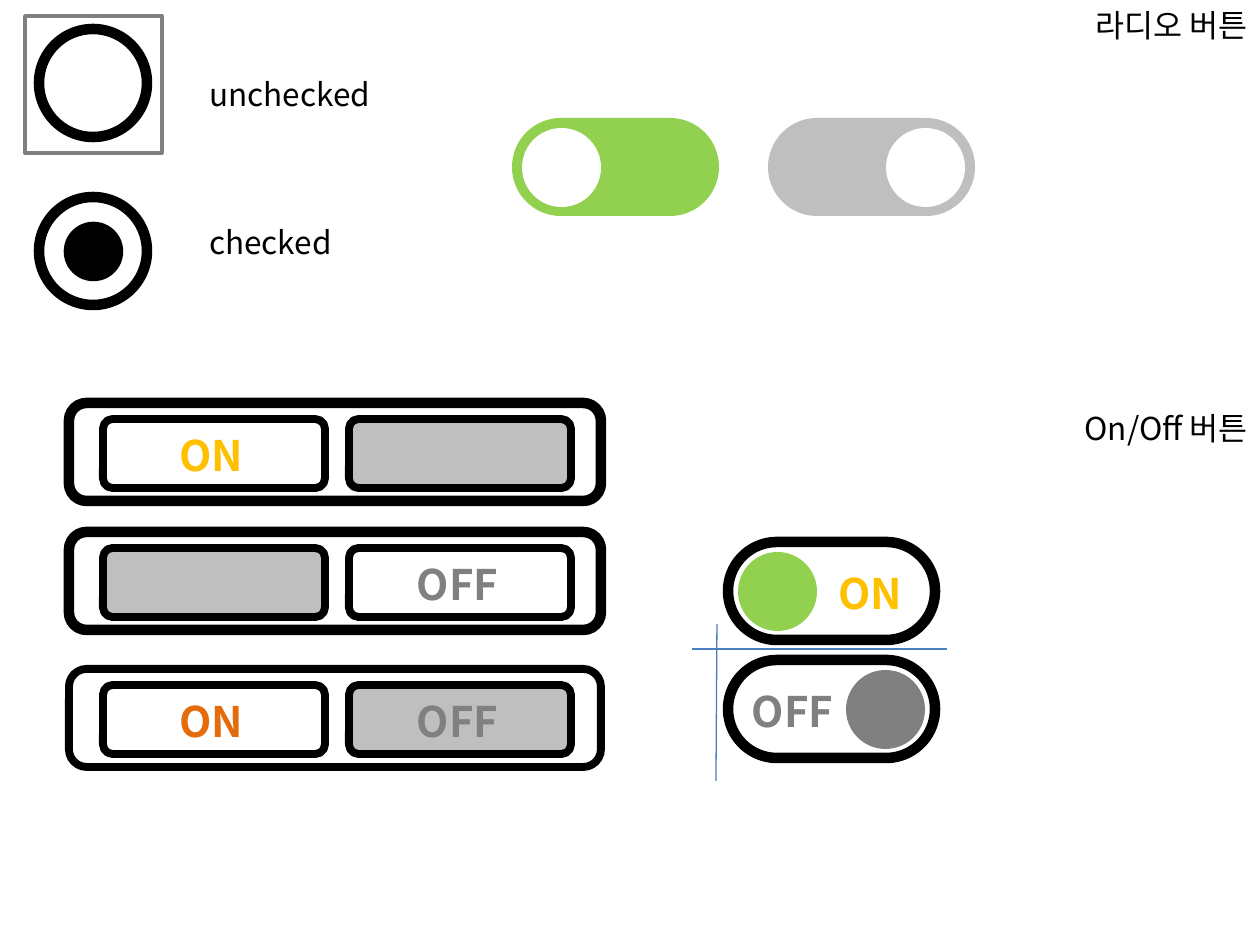
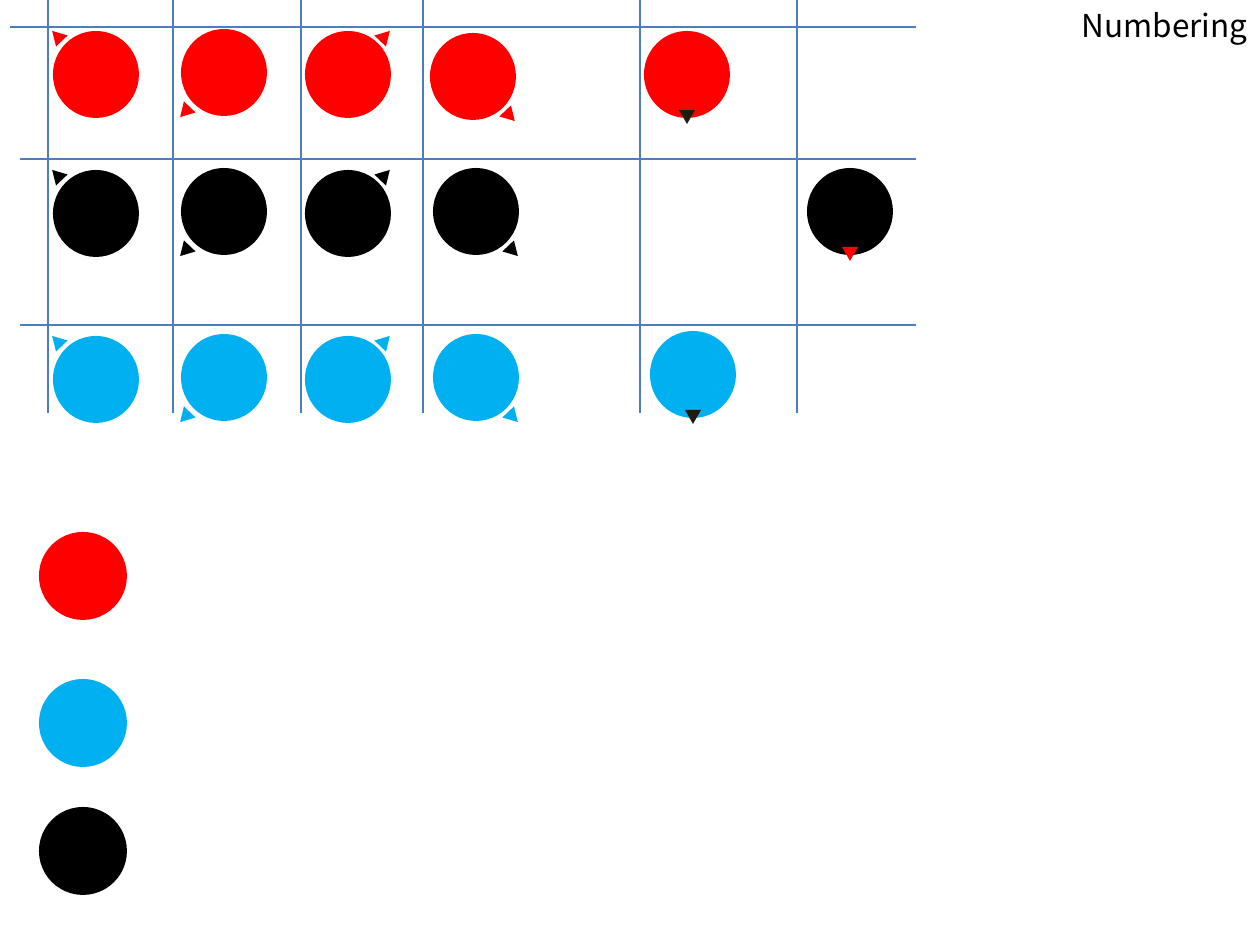
from dataclasses import dataclass
from typing import Optional

from lxml import etree
from pptx import Presentation
from pptx import util as u
from pptx.dml.color import RGBColor
from pptx.enum import shapes, text
from pptx.oxml import ns

PX = 914400 / 126
FONT = "Noto Sans CJK KR"

BLACK = RGBColor(0x00, 0x00, 0x00)
WHITE = RGBColor(0xFF, 0xFF, 0xFF)
SILVER = RGBColor(0xBF, 0xBF, 0xBF)
GRAY = RGBColor(0x80, 0x80, 0x80)
GREEN = RGBColor(0x92, 0xD0, 0x50)
AMBER = RGBColor(0xFF, 0xC0, 0x00)
ORANGE = RGBColor(0xE4, 0x6C, 0x0A)
RED = RGBColor(0xFF, 0x00, 0x00)
SKY = RGBColor(0x00, 0xB0, 0xF0)
INK = RGBColor(0x1E, 0x1C, 0x11)
GUIDE = RGBColor(0x4B, 0x7E, 0xBC)

OVAL = shapes.MSO_SHAPE.OVAL
RECT = shapes.MSO_SHAPE.RECTANGLE
ROUND = shapes.MSO_SHAPE.ROUNDED_RECTANGLE
TRIANGLE = shapes.MSO_SHAPE.ISOSCELES_TRIANGLE
LEFT, CENTER, RIGHT = text.PP_ALIGN.LEFT, text.PP_ALIGN.CENTER, text.PP_ALIGN.RIGHT

HEADING_BOX = (1004, 0, 256, 50)
PILL_W, PILL_H, KNOB, KNOB_GAP = 207, 98, 79, 10
DISC_W, DISC_H = 86, 87


@dataclass
class Key:
    label: str = ""
    color: RGBColor = BLACK
    fill: Optional[RGBColor] = None


@dataclass
class Bar:
    y: int
    border: float
    keys: tuple[Key, Key]


@dataclass
class Pointer:
    dx: int
    dy: int
    angle: float


UP_LEFT = Pointer(-4, -2, -43.7)
DOWN_LEFT = Pointer(-4, 76, 223.7)
UP_RIGHT = Pointer(72, -2, 43.7)
DOWN_RIGHT = Pointer(72, 76, 136.3)
DOWN = Pointer(35, 79, 180)


@dataclass
class Marker:
    x: int
    y: int
    color: RGBColor
    pointer: Pointer
    tip: RGBColor


def emu(px: float) -> int:
    return round(px * PX)


def write(sp, content: str, size: float = 18, color: RGBColor = BLACK,
          bold: bool = False, align=LEFT) -> None:
    tf = sp.text_frame
    tf.word_wrap = True
    tf.auto_size = text.MSO_AUTO_SIZE.SHAPE_TO_FIT_TEXT
    tf.vertical_anchor = text.MSO_ANCHOR.TOP
    p = tf.paragraphs[0]
    p.alignment = align
    r = p.add_run()
    r.text = content
    r.font.size = u.Pt(size)
    r.font.bold = bold
    r.font.name = FONT
    r.font.color.rgb = color
    etree.SubElement(r.font._element, ns.qn("a:ea"), typeface=FONT)


def add_text(s, box: tuple, content: str, **fmt) -> None:
    write(s.shapes.add_textbox(*map(emu, box)), content, **fmt)


def add_title(prs, content: str):
    s = prs.slides.add_slide(prs.slide_layouts[5])
    sp = s.shapes.title
    sp.left, sp.top, sp.width, sp.height = map(emu, HEADING_BOX)
    write(sp, content, align=RIGHT)
    return s


def add_shape(s, kind, box: tuple, fill: Optional[RGBColor] = None,
              line: Optional[RGBColor] = None, width: float = 0,
              adj: Optional[float] = None, angle: float = 0) -> None:
    sp = s.shapes.add_shape(kind, *map(emu, box))
    sp.shadow.inherit = False
    if fill is None:
        sp.fill.background()
    else:
        sp.fill.solid()
        sp.fill.fore_color.rgb = fill
    if line is None:
        sp.line.fill.background()
    else:
        sp.line.color.rgb = line
        sp.line.width = u.Pt(width)
    if adj is not None:
        sp.adjustments[0] = adj
    sp.rotation = angle


def add_guide(s, *ends: int) -> None:
    cx = s.shapes.add_connector(shapes.MSO_CONNECTOR.STRAIGHT, *map(emu, ends))
    cx.line.color.rgb = GUIDE
    cx.line.width = u.Pt(0.75)
    etree.SubElement(cx._element.spPr, ns.qn("a:effectLst"))


def add_bar(s, bar: Bar) -> None:
    add_shape(s, ROUND, (69, bar.y, 532, 98), line=BLACK, width=bar.border, adj=0.18)
    for x, key in zip((103, 349), bar.keys):
        add_shape(s, ROUND, (x, bar.y + 16, 222, 69), fill=key.fill,
                  line=BLACK, width=4.5, adj=0.14)
        if key.label:
            add_text(s, (x + 5, bar.y + 20, 207, 63), key.label, size=24,
                     color=key.color, bold=True, align=CENTER)


def add_pill(s, x: int, y: int, knob: RGBColor, knob_right: bool,
             fill: Optional[RGBColor] = None, key: Optional[Key] = None) -> None:
    add_shape(s, ROUND, (x, y, PILL_W, PILL_H), fill=fill,
              line=BLACK if key else None, width=6, adj=0.5)
    dx = PILL_W - KNOB - KNOB_GAP if knob_right else KNOB_GAP
    add_shape(s, OVAL, (x + dx, y + KNOB_GAP, KNOB, KNOB), fill=knob)
    if key:
        shift = -39 if knob_right else 39
        add_text(s, (x + shift, y + 19, PILL_W, 63), key.label, size=24,
                 color=key.color, bold=True, align=CENTER)


def add_marker(s, m: Marker) -> None:
    group = s.shapes.add_group_shape()
    add_shape_into = (
        (OVAL, (m.x, m.y, DISC_W, DISC_H), m.color, 0),
        (TRIANGLE, (m.x + m.pointer.dx, m.y + m.pointer.dy, 16, 14), m.tip, m.pointer.angle),
    )
    for kind, box, fill, angle in add_shape_into:
        add_shape(group, kind, box, fill=fill, angle=angle)


def build_buttons(prs) -> None:
    s = add_title(prs, "라디오 버튼")
    for y in (29, 197):
        add_shape(s, OVAL, (39, y, 108, 108), fill=WHITE, line=BLACK, width=6)
    add_shape(s, OVAL, (69, 227, 49, 49), fill=BLACK, line=BLACK, width=6)
    add_shape(s, RECT, (25, 16, 137, 137), line=GRAY, width=2)
    for y, label in ((69, "unchecked"), (217, "checked")):
        add_text(s, (197, y, 305, 50), label)

    add_pill(s, 512, 118, WHITE, False, fill=GREEN)
    add_pill(s, 768, 118, WHITE, True, fill=SILVER)

    x, _, w, h = HEADING_BOX
    add_text(s, (x, 403, w, h), "On/Off 버튼", align=RIGHT)
    on, off = Key("ON", AMBER), Key("OFF", GRAY)
    blank = Key(fill=SILVER)
    for bar in (
        Bar(403, 6, (on, blank)),
        Bar(532, 6, (blank, off)),
        Bar(669, 4.5, (Key("ON", ORANGE), Key("OFF", GRAY, SILVER))),
    ):
        add_bar(s, bar)

    add_pill(s, 728, 542, GREEN, False, key=on)
    add_pill(s, 728, 660, GRAY, True, key=off)
    cross = s.shapes.add_group_shape()
    add_guide(cross, 692, 649, 947, 649)
    add_guide(cross, 717, 624, 716, 781)


def build_numbering(prs) -> None:
    s = add_title(prs, "Numbering")
    for y, color, last_x, last_dy in (
        (29, RED, 430, 4), (168, BLACK, 433, 0), (334, SKY, 433, 0),
    ):
        for x, dy, pointer in (
            (53, 2, UP_LEFT), (181, 0, DOWN_LEFT),
            (305, 2, UP_RIGHT), (last_x, last_dy, DOWN_RIGHT),
        ):
            add_marker(s, Marker(x, y + dy, color, pointer, color))
    for m in (
        Marker(644, 31, RED, DOWN, INK),
        Marker(807, 168, BLACK, DOWN, RED),
        Marker(650, 331, SKY, DOWN, INK),
    ):
        add_marker(s, m)

    for y, color in ((532, RED), (679, SKY), (807, BLACK)):
        add_shape(s, OVAL, (39, y, 88, 88), fill=color)

    for x, y in ((10, 27), (20, 159), (20, 325)):
        add_guide(s, x, y, 916, y)
    for x in (48, 173, 301, 423, 640, 797):
        add_guide(s, x, 0, x, 413)


def main() -> None:
    prs = Presentation()
    prs.slide_width, prs.slide_height = emu(1260), emu(945)
    build_buttons(prs)
    build_numbering(prs)
    prs.save("out.pptx")


main()
